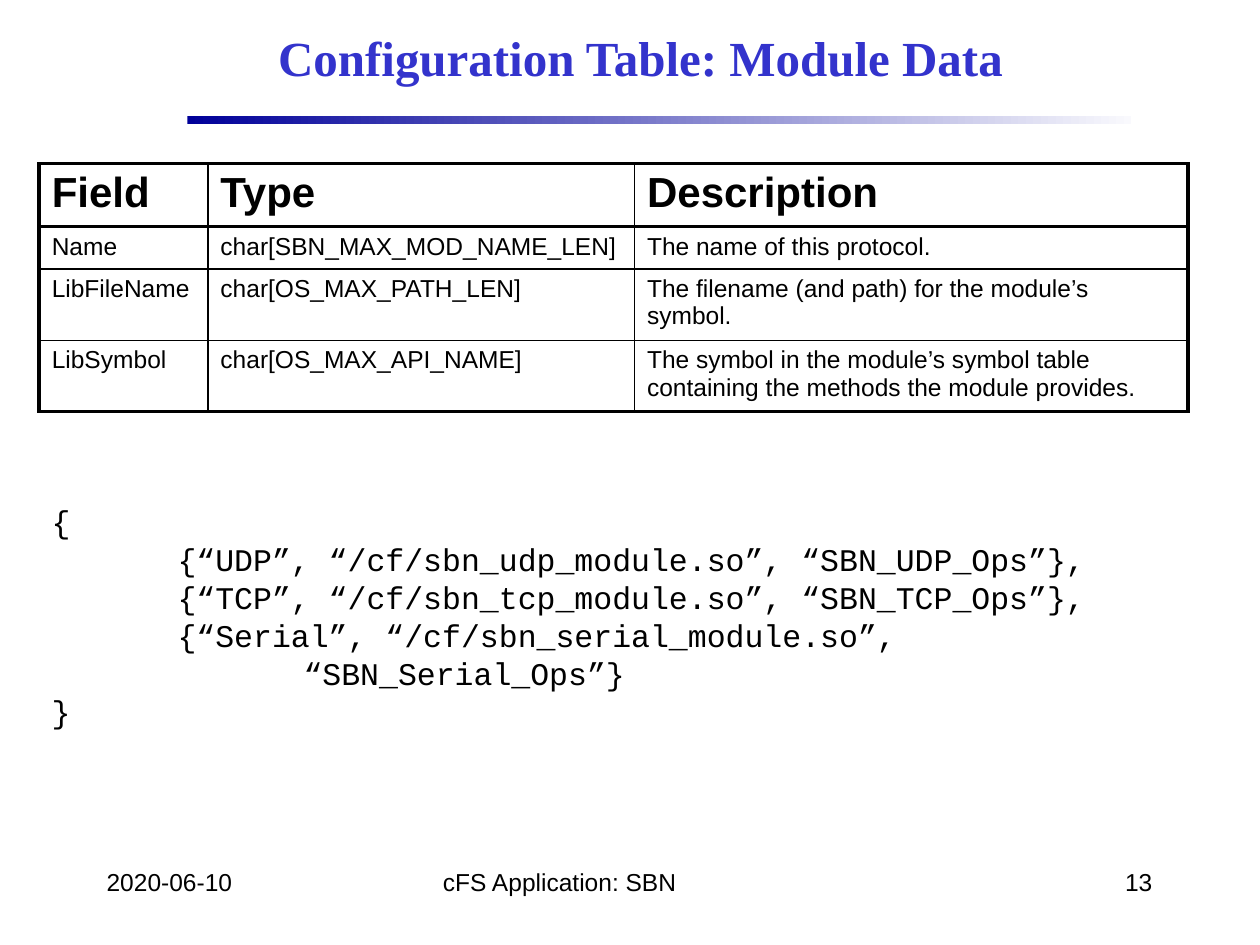
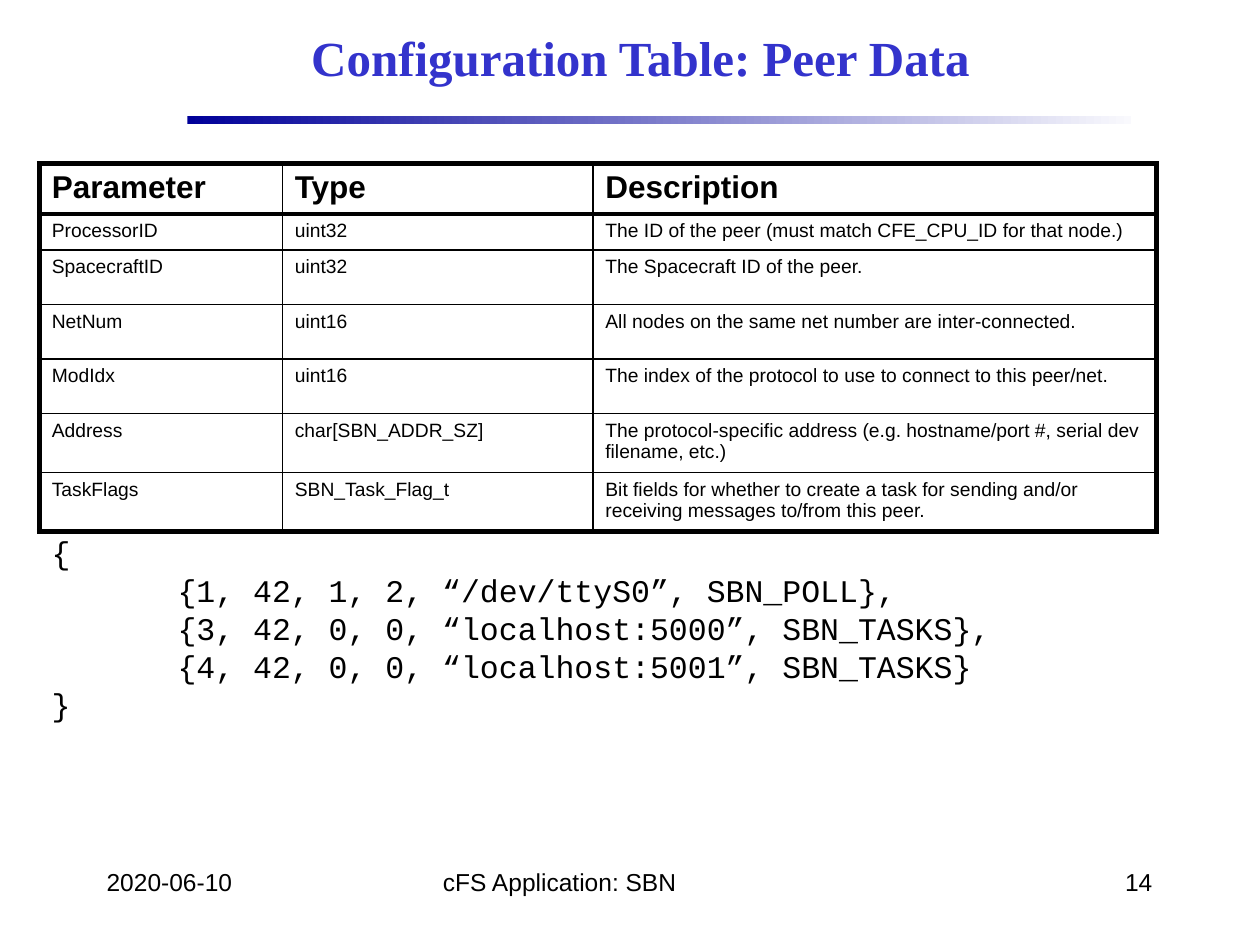
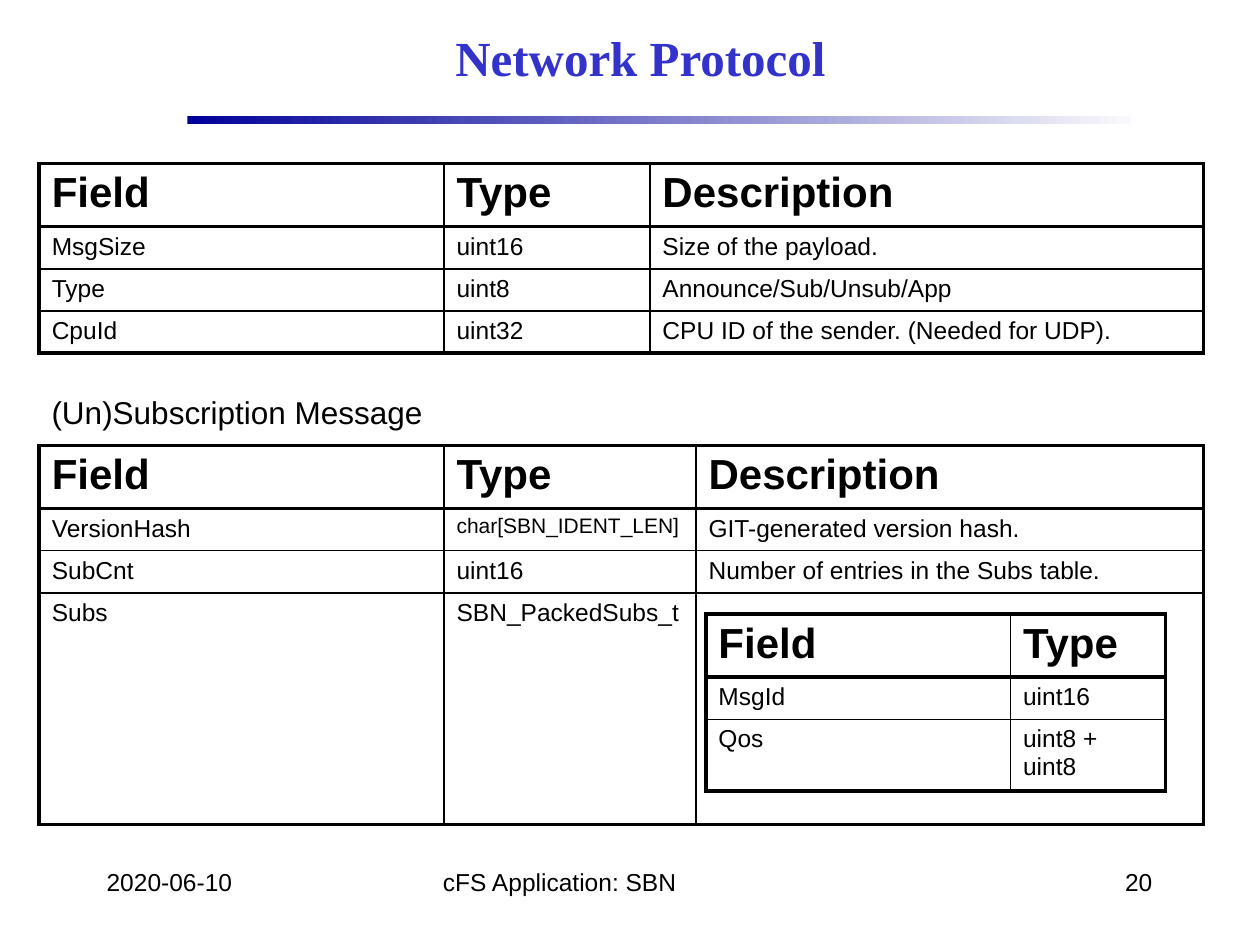
from collections import namedtuple
from dataclasses import dataclass

from lxml import etree
from pptx import Presentation
from pptx.dml.color import RGBColor
from pptx.enum.shapes import MSO_SHAPE
from pptx.enum.text import MSO_ANCHOR, PP_ALIGN
from pptx.oxml.ns import qn
from pptx.util import Cm, Pt

RECT = MSO_SHAPE.RECTANGLE
LEFT, CENTER, RIGHT = PP_ALIGN.LEFT, PP_ALIGN.CENTER, PP_ALIGN.RIGHT
TOP, MIDDLE = MSO_ANCHOR.TOP, MSO_ANCHOR.MIDDLE

Box = namedtuple("Box", "x y w h")  # centimetres


@dataclass(frozen=True)
class Theme:
    """Colours, fonts and type sizes of the deck."""
    ink: str = "000000"
    paper: str = "FFFFFF"
    title: str = "3333CC"
    dark: str = "000099"
    pale: str = "F9F9FD"
    serif: str = "Times New Roman"
    sans: str = "Arial"
    mono: str = "Courier New"
    head: int = 28
    field: int = 24
    text: int = 18
    body: int = 14
    small: int = 12
    tiny: int = 11
    lead: float = 21.7
    thin: float = 1
    thick: float = 2.25
    heavy: float = 3


T = Theme()
PAGE = Box(0, 0, 25.4, 19.05)
EDGE = 0.79   # left edge of the content
START = 3.3   # top of the first table
TAB = 2.54    # one step of code indent


def write(para, text, size, font=T.sans, color=T.ink, bold=False):
    """Add one styled run to a paragraph."""
    run = para.add_run()
    run.text = text
    run.font.size = Pt(size)
    run.font.name = font
    run.font.bold = bold
    run.font.color.rgb = RGBColor.from_string(color)


def frame(slide, box, anchor=TOP, wrap=True):
    """Add an empty text box and return its text frame."""
    shape = slide.shapes.add_textbox(*map(Cm, box))
    shape.text_frame.word_wrap = wrap
    shape.text_frame.vertical_anchor = anchor
    return shape.text_frame


def label(slide, box, text, size, align=LEFT, anchor=TOP, wrap=True, **style):
    """Add a single line of text."""
    para = frame(slide, box, anchor, wrap).paragraphs[0]
    para.alignment = align
    write(para, text, size, **style)


def header(slide, box, title):
    """Draw the title and the fading band under it."""
    label(slide, Box(box.x + 3.81, box.y + 0.2, 18.2, 1.9), title, T.head,
          CENTER, MIDDLE, font=T.serif, color=T.title, bold=True)
    band = slide.shapes.add_shape(
        RECT, Cm(box.x + 3.78), Cm(box.y + 2.33), Cm(19.03), Cm(0.18))
    band.shadow.inherit = False
    band.line.fill.background()
    band.fill.gradient()
    band.fill.gradient_angle = 0
    for stop, color in zip(band.fill.gradient_stops, (T.dark, T.pale)):
        stop.color.rgb = RGBColor.from_string(color)


def footer(slide, box, page):
    """Write date, talk name and page number along the bottom."""
    y = box.y + box.h - 1.7
    parts = ((1.9, 5.28, "2020-06-10", LEFT),
             (8.68, 8.05, "cFS Application: SBN", LEFT),
             (18.2, 5.28, str(page), RIGHT))
    for x, w, text, align in parts:
        label(slide, Box(box.x + x, y, w, 1.27), text, T.body, align)


def border(cell, sides):
    """Give a cell its left, right, top and bottom line widths."""
    props = cell._tc.get_or_add_tcPr()
    for side, width in zip("LRTB", sides):
        line = etree.SubElement(props, qn("a:ln" + side), w=str(Pt(width)))
        fill = etree.SubElement(line, qn("a:solidFill"))
        etree.SubElement(fill, qn("a:srgbClr"), val=T.ink)


def grid(slide, x, y, cols, highs, rows, head=T.field, body=T.body,
         rim=T.thick, fill=None, sizes=None):
    """Draw a ruled table with a bold first row; sizes overrides cells."""
    sizes = sizes or {}
    shape = slide.shapes.add_table(len(rows), len(cols), Cm(x), Cm(y),
                                   Cm(sum(cols)), Cm(sum(highs)))
    table = shape.table
    table.first_row = table.horz_banding = False
    for col, width in zip(table.columns, cols):
        col.width = Cm(width)
    # Widths of the lines between rows and between columns, rims included
    across = [rim, T.thick] + [T.thin] * (len(rows) - 2) + [rim]
    down = [rim] + [T.thin] * (len(cols) - 1) + [rim]
    for r, row in enumerate(rows):
        table.rows[r].height = Cm(highs[r])
        for c, text in enumerate(row):
            cell = table.cell(r, c)
            border(cell, (down[c], down[c + 1], across[r], across[r + 1]))
            if fill:
                cell.fill.solid()
                cell.fill.fore_color.rgb = RGBColor.from_string(fill)
            else:
                cell.fill.background()
            if text:
                size = sizes.get((r, c), body if r else head)
                write(cell.text_frame.paragraphs[0], text, size, bold=r == 0)


def code(slide, box, lines):
    """Write code lines, each given as (indent steps, text)."""
    text = frame(slide, box)
    for i, (step, line) in enumerate(lines):
        para = text.add_paragraph() if i else text.paragraphs[0]
        para.line_spacing = Pt(T.lead)
        para._p.get_or_add_pPr().set("marL", str(Cm(step * TAB)))
        write(para, line, T.text, T.mono)


def start(deck, title, page):
    """Add a slide with header and footer."""
    slide = deck.slides.add_slide(deck.slide_layouts[6])
    header(slide, PAGE, title)
    footer(slide, PAGE, page)
    return slide


def module(deck):
    """Build the module data slide."""
    slide = start(deck, "Configuration Table: Module Data", 13)
    grid(slide, EDGE, START, (3.4, 8.6, 11.16), (1.21, 0.81, 1.37, 1.37), (
        ("Field", "Type", "Description"),
        ("Name", "char[SBN_MAX_MOD_NAME_LEN]", "The name of this protocol."),
        ("LibFileName", "char[OS_MAX_PATH_LEN]",
         "The filename (and path) for the module’s symbol."),
        ("LibSymbol", "char[OS_MAX_API_NAME]",
         "The symbol in the module’s symbol table containing the methods "
         "the module provides."),
    ))
    code(slide, Box(EDGE, 10, 23.09, 4.88), (
        (0, "{"),
        (1, "{“UDP”, “/cf/sbn_udp_module.so”, “SBN_UDP_Ops”},"),
        (1, "{“TCP”, “/cf/sbn_tcp_module.so”, “SBN_TCP_Ops”},"),
        (1, "{“Serial”, “/cf/sbn_serial_module.so”,"),
        (2, "“SBN_Serial_Ops”}"),
        (0, "}"),
    ))


def peer(deck):
    """Build the peer data slide."""
    slide = start(deck, "Configuration Table: Peer Data", 14)
    highs = [0.97, 0.69] + [1.1] * 3 + [1.13] * 2
    grid(slide, EDGE, START, (4.9, 6.26, 11.37), highs, (
        ("Parameter", "Type", "Description"),
        ("ProcessorID", "uint32",
         "The ID of the peer (must match CFE_CPU_ID for that node.)"),
        ("SpacecraftID", "uint32", "The Spacecraft ID of the peer."),
        ("NetNum", "uint16",
         "All nodes on the same net number are inter-connected."),
        ("ModIdx", "uint16",
         "The index of the protocol to use to connect to this peer/net."),
        ("Address", "char[SBN_ADDR_SZ]",
         "The protocol-specific address (e.g. hostname/port #, serial dev "
         "filename, etc.)"),
        ("TaskFlags", "SBN_Task_Flag_t",
         "Bit fields for whether to create a task for sending and/or "
         "receiving messages to/from this peer."),
    ), head=T.text, body=T.tiny, rim=T.heavy)
    code(slide, Box(EDGE, 10.62, 23.09, 4.11), (
        (0, "{"),
        (1, "{1, 42, 1, 2, “/dev/ttyS0”, SBN_POLL},"),
        (1, "{3, 42, 0, 0, “localhost:5000”, SBN_TASKS},"),
        (1, "{4, 42, 0, 0, “localhost:5001”, SBN_TASKS}"),
        (0, "}"),
    ))


def network(deck):
    """Build the network protocol slide."""
    slide = start(deck, "Network Protocol", 20)
    grid(slide, EDGE, START, (8.16, 4.15, 11.16), [1.21] + [0.81] * 3, (
        ("Field", "Type", "Description"),
        ("MsgSize", "uint16", "Size of the payload."),
        ("Type", "uint8", "Announce/Sub/Unsub/App"),
        ("CpuId", "uint32", "CPU ID of the sender. (Needed for UDP)."),
    ))
    label(slide, Box(EDGE, 7.8, 8.08, 1.02), "(Un)Subscription Message",
          T.text, wrap=False)
    grid(slide, EDGE, 8.98, (8.16, 5.08, 10.23), (1.27, 0.85, 0.85, 4.67), (
        ("Field", "Type", "Description"),
        ("VersionHash", "char[SBN_IDENT_LEN]", "GIT-generated version hash."),
        ("SubCnt", "uint16", "Number of entries in the Subs table."),
        ("Subs", "SBN_PackedSubs_t", ""),
    ), fill=T.paper, sizes={(1, 1): T.small})
    grid(slide, 14.23, 12.38, (6.14, 3.13), (1.27, 0.85, 1.43), (
        ("Field", "Type"),
        ("MsgId", "uint16"),
        ("Qos", "uint8 + uint8"),
    ), fill=T.paper)


def main():
    """Build and save the deck."""
    deck = Presentation()
    deck.slide_width, deck.slide_height = Cm(PAGE.w), Cm(PAGE.h)
    for build in (module, peer, network):
        build(deck)
    deck.save("out.pptx")


main()
